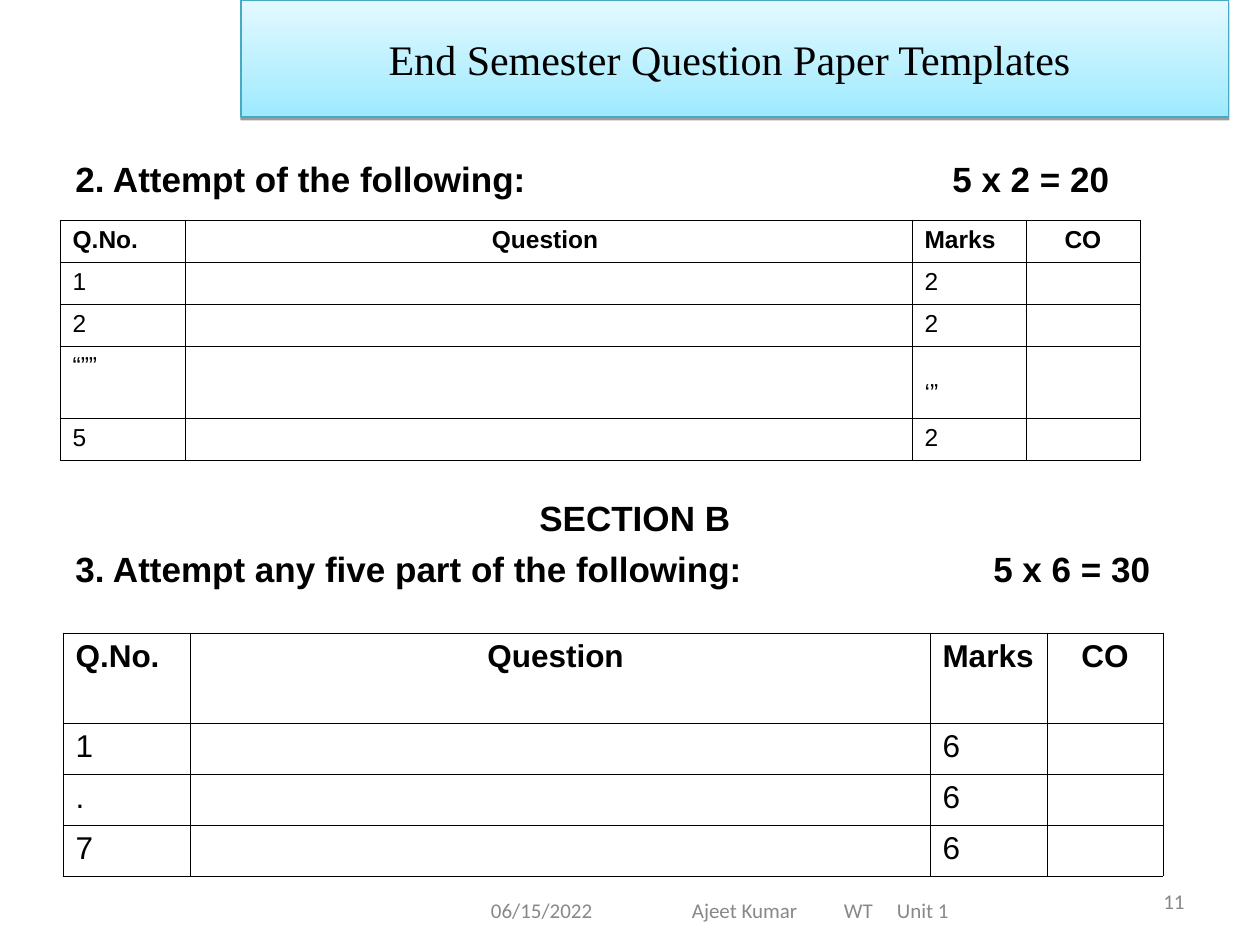
from lxml import etree
from pptx import Presentation
from pptx.dml.color import RGBColor as RGB
from pptx.enum.shapes import MSO_SHAPE as SHAPE
from pptx.enum.text import MSO_ANCHOR as ANCHOR, PP_ALIGN as ALIGN
from pptx.oxml.ns import qn
from pptx.util import Pt

PX = 914400 // 126
COLORS = {"ink": "000000", "paper": "FFFFFF", "footer": "888888",
          "banner_low": "9EEAFF", "banner_high": "E4F9FF", "banner_line": "46AAC5"}


def add_text(p, text, size, font="Arial", color="ink", bold=False, align=ALIGN.LEFT, tabs=()):
    """Add one formatted run, with tab stops given in px."""
    if tabs:
        tab_list = etree.SubElement(p._p.get_or_add_pPr(), qn("a:tabLst"))
        for pos in tabs:
            etree.SubElement(tab_list, qn("a:tab"), pos=str(pos * PX), algn="l")
    p.alignment = align
    r = p.add_run()
    r.text = text
    r.font.size, r.font.name, r.font.bold = Pt(size), font, bold
    r.font.color.rgb = RGB.from_string(COLORS[color])


def add_box(x, y, w, h, anchor=ANCHOR.TOP):
    tf = s.shapes.add_textbox(x * PX, y * PX, w * PX, h * PX).text_frame
    tf.word_wrap = True
    tf.vertical_anchor = anchor
    return tf


prs = Presentation()
prs.slide_width, prs.slide_height = 1260 * PX, 945 * PX
s = prs.slides.add_slide(prs.slide_layouts[6])

# Title banner
sp = s.shapes.add_shape(SHAPE.RECTANGLE, 241 * PX, 0, 988 * PX, 117 * PX)
sp.fill.gradient()
sp.fill.gradient_angle = 90
for stop, name in zip(sp.fill.gradient_stops, ("banner_low", "banner_high")):
    stop.color.rgb = RGB.from_string(COLORS[name])
sp.line.color.rgb = RGB.from_string(COLORS["banner_line"])
sp.line.width = Pt(0.75)
sp.shadow.inherit = False
shadow = etree.SubElement(sp._element.spPr.find(qn("a:effectLst")), qn("a:outerShdw"),
                          blurRad="0", dist=str(Pt(1.6)), dir="5400000", rotWithShape="0")
shade = etree.SubElement(shadow, qn("a:srgbClr"), val=COLORS["ink"])
etree.SubElement(shade, qn("a:alpha"), val="38000")
tf = sp.text_frame
tf.word_wrap = True
tf.vertical_anchor = ANCHOR.MIDDLE
add_text(tf.paragraphs[0], "End Semester Question Paper Templates ", 24,
         "Times New Roman", align=ALIGN.CENTER)

# Section headings
tf = add_box(63, 151, 1134, 652)
headings = [("2. Attempt of the following:\t5 x 2 = 20", ALIGN.LEFT, [877], 0),
            (" SECTION B", ALIGN.CENTER, [], 170),
            ("3. Attempt any five part of the following:\t5 x 6 = 30", ALIGN.LEFT, [918], 5)]
for i, (text, align, tabs, before) in enumerate(headings):
    p = tf.add_paragraph() if i else tf.paragraphs[0]
    add_text(p, text, 20, bold=True, align=align, tabs=tabs)
    if before:
        p.space_before = Pt(before)

# Question tables: left, top, text size, column widths, row heights, (number, marks)
tables = [
    (60, 220, 14, [125, 727, 114, 114], [42, 42, 42, 72, 42],
     [("1", "2"), ("2", "2"), ("“””", "‘”"), ("5", "2")]),
    (63, 633, 18, [127, 740, 117, 116], [90, 51, 51, 51],
     [("1", "6"), (".", "6"), ("7", "6")]),
]
for x, y, size, cols, rows, entries in tables:
    table = s.shapes.add_table(len(rows), len(cols), x * PX, y * PX,
                               sum(cols) * PX, sum(rows) * PX).table
    table.first_row = table.horz_banding = False
    for col, w in zip(table.columns, cols):
        col.width = w * PX
    for row, h in zip(table.rows, rows):
        row.height = h * PX
    content = [("Q.No.", "Question ", "Marks", "CO")]
    content += [(number, "", marks, "") for number, marks in entries]
    for i, texts in enumerate(content):
        for j, text in enumerate(texts):
            cell = table.cell(i, j)
            tcPr = cell._tc.get_or_add_tcPr()
            for side in ("lnL", "lnR", "lnT", "lnB"):
                ln = etree.SubElement(tcPr, qn("a:" + side), w=str(Pt(0.45)))
                solid = etree.SubElement(ln, qn("a:solidFill"))
                etree.SubElement(solid, qn("a:srgbClr"), val=COLORS["ink"])
            cell.fill.solid()
            cell.fill.fore_color.rgb = RGB.from_string(COLORS["paper"])
            p = cell.text_frame.paragraphs[0]
            if text:
                add_text(p, text, size, bold=i == 0,
                         align=ALIGN.CENTER if j in (1, 3) else ALIGN.LEFT)
            else:
                # Keeps an empty cell from stretching its row
                etree.SubElement(p._p, qn("a:endParaRPr"), sz=str(size * 100))
            if text == "‘”":
                cell.margin_top = 33 * PX

# Footer and slide number
tf = add_box(431, 876, 580, 69, ANCHOR.MIDDLE)
tf.margin_left = 60 * PX
add_text(tf.paragraphs[0], "06/15/2022\tAjeet Kumar\tWT\tUnit 1", 12, "Calibri", "footer",
         tabs=[201, 353, 406])
tf = add_box(903, 876, 294, 50, ANCHOR.MIDDLE)
add_text(tf.paragraphs[0], "11", 12, "Calibri", "footer", align=ALIGN.RIGHT)

prs.save("out.pptx")
